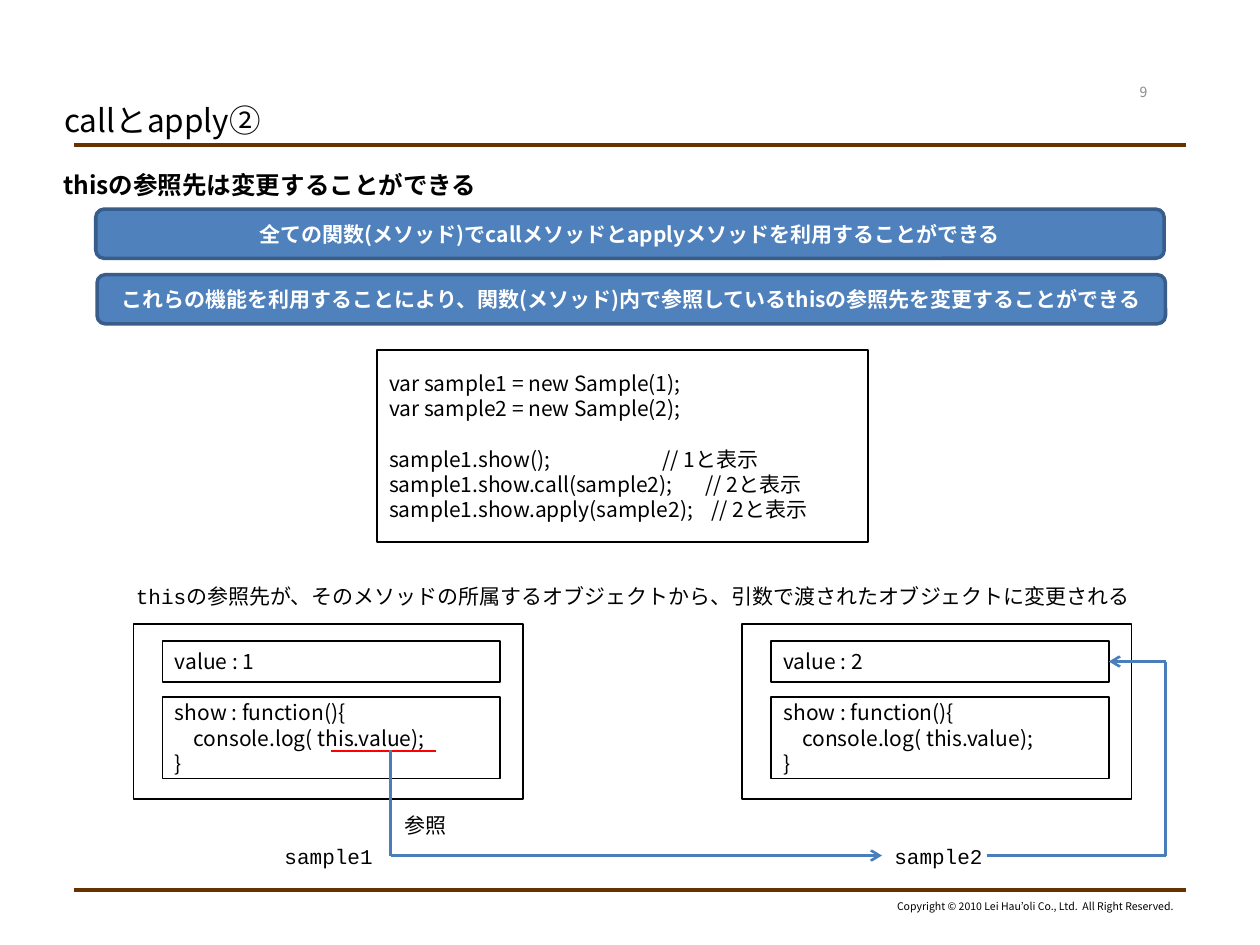
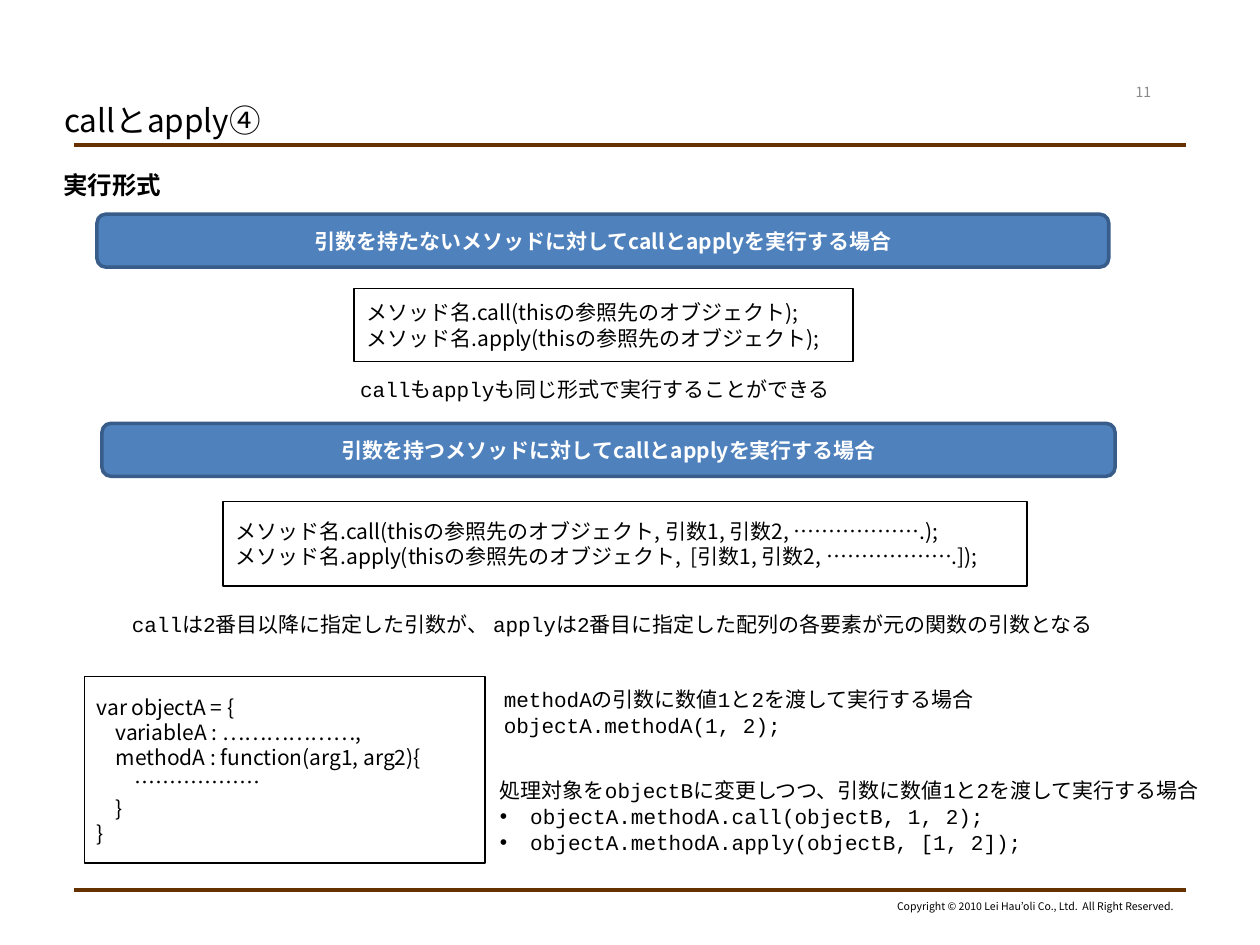
import dataclasses

import lxml.etree
import pptx
import pptx.dml.color
import pptx.enum.shapes
import pptx.enum.text
import pptx.oxml
import pptx.oxml.ns
import pptx.util

Inches = pptx.util.Inches
Pt = pptx.util.Pt
RGB = pptx.dml.color.RGBColor.from_string
qn = pptx.oxml.ns.qn
ALIGN = pptx.enum.text.PP_ALIGN
ANCHOR = pptx.enum.text.MSO_ANCHOR
SHAPE = pptx.enum.shapes.MSO_SHAPE


@dataclasses.dataclass(frozen=True)
class Theme:
    sans: str = "Noto Sans CJK JP"
    mono: str = "Courier New"
    black: str = "000000"
    white: str = "FFFFFF"
    grey: str = "898989"
    brown: str = "663300"
    blue: str = "4F81BD"
    blue_edge: str = "385D8A"
    arrow: str = "4A7EBB"
    red: str = "FF0000"
    title: float = 18
    heading: float = 14
    text: float = 12
    number: float = 8
    copyright: float = 6


theme = Theme()
STYLES = {
    "title": dict(size=theme.title, anchor=ANCHOR.MIDDLE, inset=0),
    "heading": dict(size=theme.heading, bold=True, inset=0),
    "banner": dict(color=theme.white, bold=True, align=ALIGN.CENTER, anchor=ANCHOR.MIDDLE),
    "code": dict(anchor=ANCHOR.MIDDLE),
    "label": dict(font=theme.mono, pitch=1.25),
    "note": dict(font=theme.mono, pitch=1.25, wrap=False),
    "centred note": dict(font=theme.mono, pitch=1.25, wrap=False, align=ALIGN.CENTER),
    "number": dict(size=theme.number, color=theme.grey, align=ALIGN.CENTER, anchor=ANCHOR.MIDDLE),
    "copyright": dict(size=theme.copyright, align=ALIGN.RIGHT, wrap=False),
}
DEFAULT_STYLE = dict(font=theme.sans, size=theme.text, color=theme.black, bold=False,
                     align=ALIGN.LEFT, anchor=ANCHOR.TOP, inset=0.1, pitch=1.2, wrap=True)


def write(shape, lines, style_name):
    """Fill the shape with one paragraph per line, in the named style."""
    style = DEFAULT_STYLE | STYLES[style_name]
    frame = shape.text_frame
    frame_format = dict(
        word_wrap=style["wrap"], vertical_anchor=style["anchor"],
        auto_size=pptx.enum.text.MSO_AUTO_SIZE.NONE,
        margin_left=Inches(style["inset"]), margin_right=Inches(style["inset"]),
        margin_top=Inches(style["inset"] / 2), margin_bottom=Inches(style["inset"] / 2))
    for name, value in frame_format.items():
        setattr(frame, name, value)
    for index, line in enumerate(lines):
        paragraph = frame.paragraphs[0] if index == 0 else frame.add_paragraph()
        paragraph_format = dict(alignment=style["align"], space_before=Pt(0),
                                line_spacing=Pt(style["size"] * style["pitch"]))
        for name, value in paragraph_format.items():
            setattr(paragraph, name, value)
        run = paragraph.add_run()
        run.text = line
        font_format = dict(name=style["font"], size=Pt(style["size"]), bold=style["bold"])
        for name, value in font_format.items():
            setattr(run.font, name, value)
        run.font.color.rgb = RGB(style["color"])
        east_asian = lxml.etree.SubElement(run.font._element, qn("a:ea"))
        east_asian.set("typeface", theme.sans)
    return shape


def add_line(slide, start, end, color, width, arrow=False):
    line = slide.shapes.add_connector(
        pptx.enum.shapes.MSO_CONNECTOR.STRAIGHT, *map(Inches, (*start, *end)))
    line.line.color.rgb = RGB(color)
    line.line.width = Pt(width)
    if arrow:
        tail = lxml.etree.SubElement(line.line._get_or_add_ln(), qn("a:tailEnd"))
        tail.set("type", "arrow")
    lxml.etree.SubElement(line._element.spPr, qn("a:effectLst"))
    return line


SHOW_FUNCTION = ["show : function(){", "    console.log( this.value);", "}"]

# Each item: style, (left, top, width, height), lines
PAGES = [
    dict(title="callとapply②", number="9", heading="thisの参照先は変更することができる", items=[
        ("banner", (0.76, 1.66, 8.48, 0.39),
         ["全ての関数(メソッド)でcallメソッドとapplyメソッドを利用することができる"]),
        ("banner", (0.77, 2.18, 8.48, 0.39),
         ["これらの機能を利用することにより、関数(メソッド)内で参照しているthisの参照先を変更することができる"]),
        ("code", (2.99, 2.78, 3.9, 1.52),
         ["var sample1 = new Sample(1);", "var sample2 = new Sample(2);",
          "sample1.show();\t// 1と表示",
          "sample1.show.call(sample2);\t// 2と表示",
          "sample1.show.apply(sample2);\t// 2と表示"]),
        ("note", (0.98, 4.57, 8.14, 0.3),
         ["thisの参照先が、そのメソッドの所属するオブジェクトから、引数で渡されたオブジェクトに変更される"]),
        ("label", (3.11, 6.39, 0.56, 0.3), ["参照"]),
        ("label", (2.16, 6.64, 0.94, 0.3), ["sample1"]),
        ("label", (7, 6.64, 0.94, 0.3), ["sample2"]),
    ]),
    dict(title="callとapply④", number="11", heading="実行形式", items=[
        ("banner", (0.77, 1.7, 8.03, 0.42),
         ["引数を持たないメソッドに対してcallとapplyを実行する場合"]),
        ("code", (2.81, 2.29, 3.96, 0.58),
         ["メソッド名.call(thisの参照先のオブジェクト);",
          "メソッド名.apply(thisの参照先のオブジェクト);"]),
        ("note", (2.76, 2.93, 4.05, 0.3), ["callもapplyも同じ形式で実行することができる"]),
        ("banner", (0.81, 3.36, 8.04, 0.42),
         ["引数を持つメソッドに対してcallとapplyを実行する場合"]),
        ("code", (1.77, 3.98, 6.38, 0.67),
         ["メソッド名.call(thisの参照先のオブジェクト, 引数1, 引数2, ……………….);",
          "メソッド名.apply(thisの参照先のオブジェクト,  [引数1, 引数2, ……………….]);"]),
        ("centred note", (0.8, 4.8, 8.12, 0.3),
         ["callは2番目以降に指定した引数が、 applyは2番目に指定した配列の各要素が元の関数の引数となる"]),
        ("code", (0.67, 5.37, 3.18, 1.48),
         ["var objectA = {", "    variableA : ………………,",
          "    methodA : function(arg1, arg2){", "        ………………", "    }", "}"]),
        ("note", (3.87, 6.11, 6, 0.7),
         ["処理対象をobjectBに変更しつつ、引数に数値1と2を渡して実行する場合",
          "objectA.methodA.call(objectB, 1, 2);", "objectA.methodA.apply(objectB, [1, 2]);"]),
        ("note", (3.9, 5.39, 4.13, 0.5),
         ["methodAの引数に数値1と2を渡して実行する場合", "objectA.methodA(1, 2);"]),
    ]),
]

# The two objects on the first page: left edge and value
for object_left, value in ((1.06, 1), (5.89, 2)):
    PAGES[0]["items"] += [
        ("code", (object_left, 4.95, 3.09, 1.39), []),
        ("code", (object_left + 0.23, 5.09, 2.68, 0.32), [f"value : {value}"]),
        ("code", (object_left + 0.23, 5.53, 2.68, 0.65), SHOW_FUNCTION),
    ]

presentation = pptx.Presentation()
presentation.slide_width = Inches(10)
presentation.slide_height = Inches(7.5)
shapes_by_text = {}

for page in PAGES:
    slide = presentation.slides.add_slide(presentation.slide_layouts[1])
    for rule_top in (1.15, 7.06):
        add_line(slide, (0.59, rule_top), (9.41, rule_top), theme.brown, 2.25)

    title, body = slide.placeholders
    for placeholder, box in ((title, (0.51, 0.76, 5.68, 0.39)), (body, (0.5, 1.35, 9, 5.55))):
        placeholder.left, placeholder.top, placeholder.width, placeholder.height = map(Inches, box)
    write(title, [page["title"]], "title")
    write(body, [page["heading"]], "heading")
    heading_properties = body.text_frame.paragraphs[0]._p.get_or_add_pPr()
    heading_properties.set("marL", "0")
    heading_properties.set("indent", "0")
    lxml.etree.SubElement(heading_properties, qn("a:buNone"))

    shared_items = [
        ("number", (8.78, 0.61, 0.59, 0.24), [page["number"]]),
        ("copyright", (6.99, 7.09, 2.42, 0.2),
         ["Copyright © 2010 Lei Hau’oli Co., Ltd.  All Right Reserved."]),
    ]
    for style_name, box, lines in shared_items + page["items"]:
        position = tuple(map(Inches, box))
        if style_name in ("banner", "code"):
            is_banner = style_name == "banner"
            shape = slide.shapes.add_shape(
                SHAPE.ROUNDED_RECTANGLE if is_banner else SHAPE.RECTANGLE, *position)
            shape.shadow.inherit = False
            shape.line.color.rgb = RGB(theme.blue_edge if is_banner else theme.black)
            shape.line.width = Pt(2 if is_banner else 1)
            if is_banner:
                shape.fill.solid()
                shape.fill.fore_color.rgb = RGB(theme.blue)
            else:
                shape.fill.background()
        else:
            shape = slide.shapes.add_textbox(*position)
        write(shape, lines, style_name)
        if lines:
            shapes_by_text[lines[0]] = shape

# Comments in the sample code start at a tab stop; a gap sets the calls apart
calls = shapes_by_text["var sample1 = new Sample(1);"].text_frame.paragraphs[2:]
calls[0].space_before = Pt(theme.text * 1.2)
for paragraph, comment_left in zip(calls, (2.17, 2.51, 2.56)):
    tabs = lxml.etree.SubElement(paragraph._p.get_or_add_pPr(), qn("a:tabLst"))
    tab = lxml.etree.SubElement(tabs, qn("a:tab"))
    tab.set("pos", str(Inches(comment_left)))
    tab.set("algn", "l")

# Bulleted calls on the second page
target_note = shapes_by_text["処理対象をobjectBに変更しつつ、引数に数値1と2を渡して実行する場合"]
for paragraph in target_note.text_frame.paragraphs[1:]:
    properties = paragraph._p.get_or_add_pPr()
    properties.set("marL", str(Inches(0.24)))
    properties.set("indent", str(Inches(-0.24)))
    lxml.etree.SubElement(properties, qn("a:buFont")).set("typeface", "Arial")
    lxml.etree.SubElement(properties, qn("a:buChar")).set("char", "•")

# Route from this.value to the value of sample2
first_slide = presentation.slides[0]
route_y = 6.79
add_line(first_slide, (2.63, 5.96), (3.46, 5.96), theme.red, 0.75)
add_line(first_slide, (3.1, 5.95), (3.1, route_y), theme.arrow, 1.5)
to_sample2 = add_line(first_slide, (3.1, route_y), (7, route_y), theme.arrow, 1.5, arrow=True)
to_sample2.begin_connect(shapes_by_text["sample1"], 3)
to_sample2.end_connect(shapes_by_text["sample2"], 1)
add_line(first_slide, (7.83, route_y), (9.25, route_y), theme.arrow, 1.5)
add_line(first_slide, (9.25, 5.25), (9.25, route_y), theme.arrow, 1.5)
to_value = add_line(first_slide, (9.25, 5.25), (8.8, 5.25), theme.arrow, 1.5, arrow=True)
to_value.end_connect(shapes_by_text["value : 2"], 3)

presentation.save("out.pptx")
